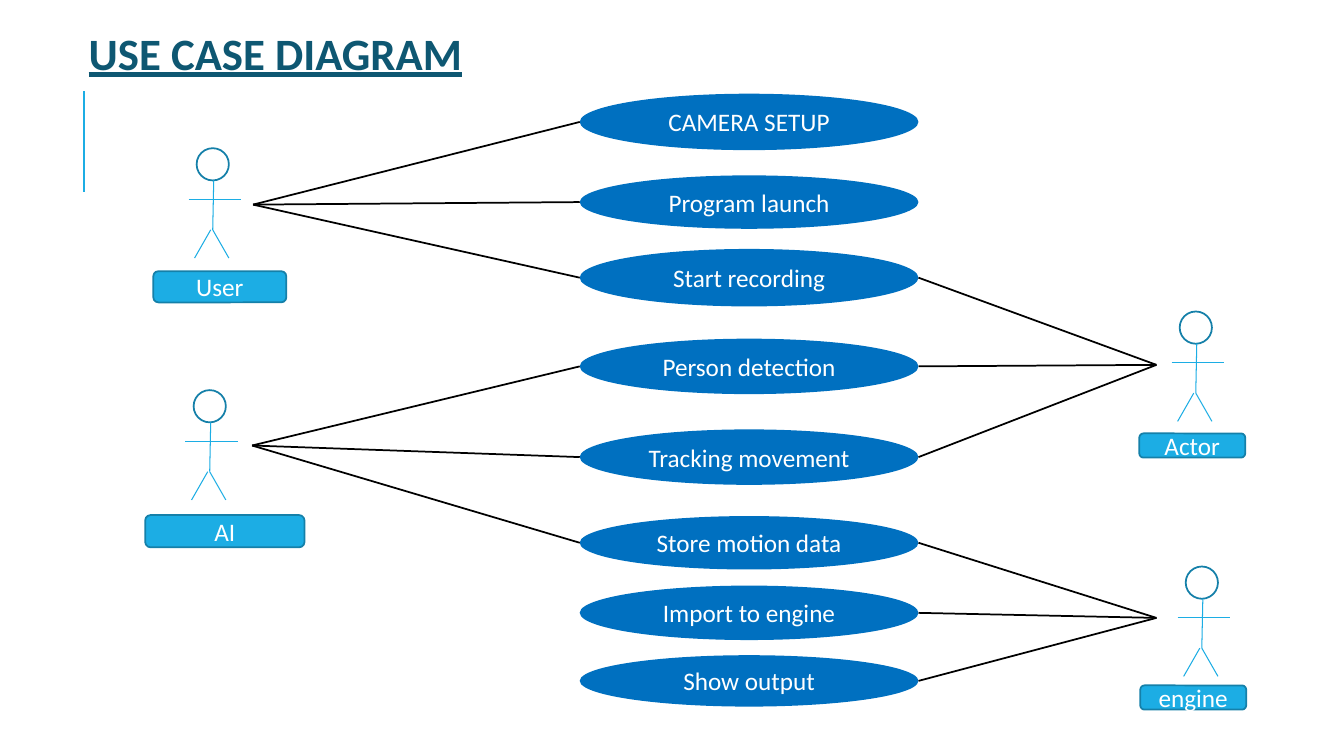
from pptx import Presentation
from pptx.dml.color import RGBColor
from pptx.enum.shapes import MSO_CONNECTOR, MSO_SHAPE
from pptx.enum.text import MSO_ANCHOR, MSO_AUTO_SIZE, PP_ALIGN
from pptx.oxml.ns import qn
from pptx.util import Inches, Pt
from lxml.etree import SubElement

WHITE = RGBColor(0xFF, 0xFF, 0xFF)
BLACK = RGBColor(0, 0, 0)
BLUE = RGBColor(0x00, 0x70, 0xC0)
CYAN = RGBColor(0x1C, 0xAD, 0xE4)
EDGE = RGBColor(0x15, 0x80, 0xA9)
TEAL = RGBColor(0x0E, 0x57, 0x72)


def add_line(shapes, start, end, color, width):
    line = shapes.add_connector(
        MSO_CONNECTOR.STRAIGHT, *[Inches(v) for v in (*start, *end)])
    line.line.color.rgb = color
    line.line.width = Pt(width)
    SubElement(line._element.spPr, qn("a:effectLst"))


def add_node(shapes, kind, box, fill, edge=None, text=""):
    node = shapes.add_shape(kind, *[Inches(v) for v in box])
    node.shadow.inherit = False
    node.fill.solid()
    node.fill.fore_color.rgb = fill
    if edge:
        node.line.color.rgb = edge
        node.line.width = Pt(1.25)
    else:
        node.line.fill.background()
    if text:
        frame = node.text_frame
        frame.vertical_anchor = MSO_ANCHOR.MIDDLE
        para = frame.paragraphs[0]
        para.text = text
        para.alignment = PP_ALIGN.CENTER
        for name, value in {"name": "Calibri", "size": Pt(18)}.items():
            setattr(para.font, name, value)
        para.font.color.rgb = WHITE


deck = Presentation()
deck.slide_width, deck.slide_height = Inches(13.33), Inches(7.5)
slide = deck.slides.add_slide(deck.slide_layouts[5])
shapes = slide.shapes

# Title and accent line
title = shapes.title
place = {"left": 0.78, "top": 0.2, "width": 4.09, "height": 0.64}
for name, value in place.items():
    setattr(title, name, Inches(value))
frame = title.text_frame
frame.text = "USE CASE DIAGRAM"
layout = {"word_wrap": False, "vertical_anchor": MSO_ANCHOR.TOP,
          "auto_size": MSO_AUTO_SIZE.SHAPE_TO_FIT_TEXT}
for name, value in layout.items():
    setattr(frame, name, value)
para = frame.paragraphs[0]
para.alignment = PP_ALIGN.JUSTIFY
style = {"name": "Calibri", "size": Pt(32), "bold": True, "underline": True}
font = para.runs[0].font
for name, value in style.items():
    setattr(font, name, value)
font.color.rgb = TEAL
add_line(shapes, (0.83, 1.9), (0.83, 0.9), CYAN, 1.5)

# Use cases: text, top, height
LEFT, WIDE = 5.75, 3.36
cases = [
    ("CAMERA SETUP", 0.93, 0.56),
    ("Program launch", 1.74, 0.53),
    ("Start recording", 2.47, 0.57),
    ("Person detection", 3.36, 0.55),
    ("Tracking movement", 4.26, 0.55),
    ("Store motion data", 5.12, 0.53),
    ("Import to engine", 5.81, 0.54),
    ("Show output", 6.5, 0.51),
]
for text, top, high in cases:
    add_node(shapes, MSO_SHAPE.OVAL, (LEFT, top, WIDE, high), BLUE, text=text)

# Actors: name, label box, head corner, link point, linked cases
actors = [
    ("User", (1.52, 2.69, 1.32, 0.31), (1.95, 1.47), (2.51, 2.03), (0, 1, 2)),
    ("AI", (1.44, 5.11, 1.58, 0.32), (1.92, 3.87), (2.5, 4.42), (3, 4, 5)),
    ("Actor", (11.3, 4.3, 1.05, 0.24), (11.7, 3.09), (11.47, 3.62), (2, 3, 4)),
    ("engine", (11.31, 6.8, 1.05, 0.24), (11.76, 5.62), (11.47, 6.13),
     (5, 6, 7)),
]
# Body, right leg, left leg and arms, measured from the head corner
limbs = [
    ((0.17, 0.32), (0.16, 0.81)),
    ((0.16, 0.81), (0.32, 1.09)),
    ((0.14, 0.81), (-0.02, 1.09)),
    ((-0.08, 0.51), (0.44, 0.51)),
]
for name, box, (x, y), point, links in actors:
    add_node(shapes, MSO_SHAPE.ROUNDED_RECTANGLE, box, CYAN, EDGE, name)

    # Links to the near side of each use case
    side = LEFT if point[0] < LEFT else LEFT + WIDE
    for index in links:
        text, top, high = cases[index]
        add_line(shapes, point, (side, top + high / 2), BLACK, 1.25)

    # Stick figure
    figure = shapes.add_group_shape().shapes
    add_node(figure, MSO_SHAPE.OVAL, (x, y, 0.32, 0.32), WHITE, EDGE)
    for (ax, ay), (bx, by) in limbs:
        add_line(figure, (x + ax, y + ay), (x + bx, y + by), CYAN, 0.75)

deck.save("out.pptx")
